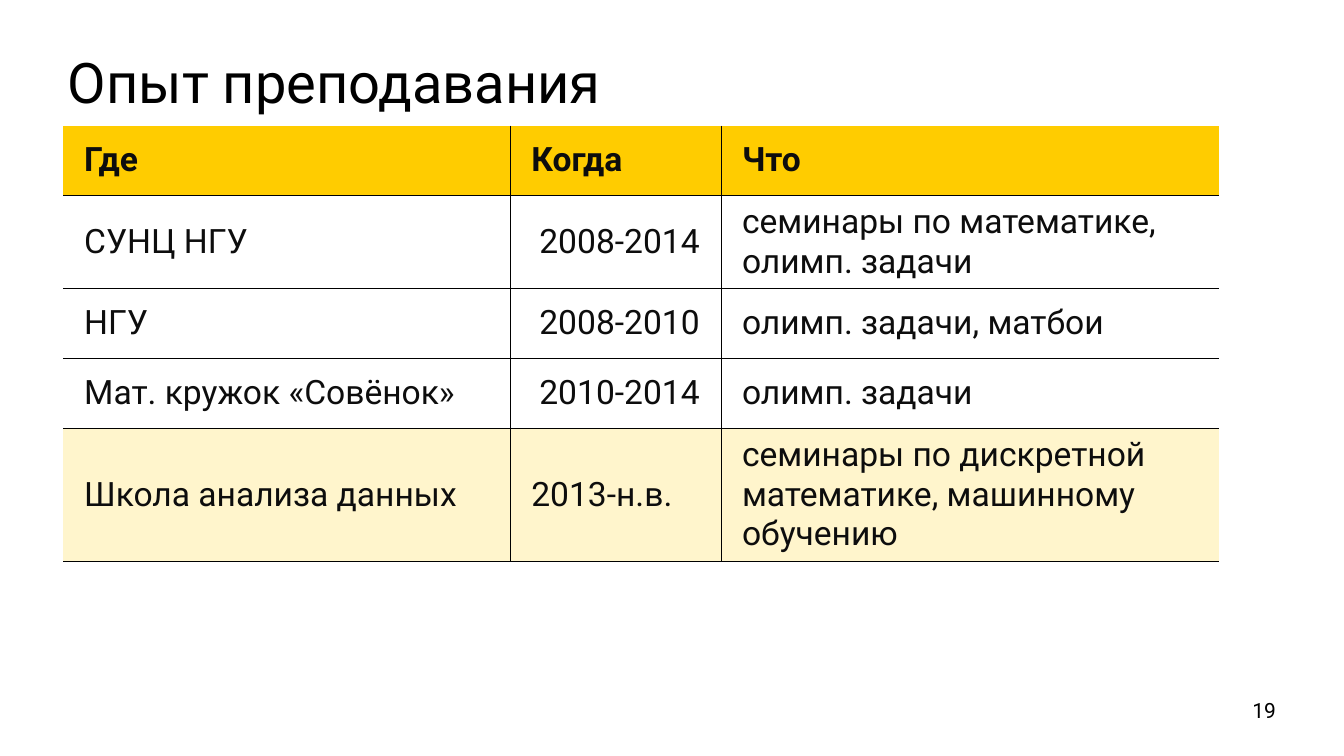
from lxml import etree
from pptx import Presentation
from pptx.dml.color import RGBColor
from pptx.enum.text import MSO_ANCHOR, PP_ALIGN
from pptx.oxml.ns import qn
from pptx.util import Inches, Pt

MIDDLE, TOP = MSO_ANCHOR.MIDDLE, MSO_ANCHOR.TOP
LEFT, RIGHT = PP_ALIGN.LEFT, PP_ALIGN.RIGHT

BLACK = RGBColor(0x00, 0x00, 0x00)
INK = RGBColor(0x0D, 0x0D, 0x0D)
WHITE = RGBColor(0xFF, 0xFF, 0xFF)
YELLOW = RGBColor(0xFF, 0xCC, 0x00)
CREAM = RGBColor(0xFF, 0xF5, 0xCC)
FONT = "Roboto"

TITLE = "Опыт преподавания"
PAGE_NUMBER = "19"
# Each row: fill, alignment of the date, then the cells as lists of paragraphs
ROWS = [
    (YELLOW, LEFT, (["Где"], ["Когда"], ["Что"])),
    (WHITE, RIGHT, (["СУНЦ НГУ"], ["2008-2014"],
                    ["семинары по математике,", "олимп. задачи"])),
    (WHITE, RIGHT, (["НГУ"], ["2008-2010"], ["олимп. задачи, матбои"])),
    (WHITE, RIGHT, (["Мат. кружок «Совёнок»"], ["2010-2014"], ["олимп. задачи"])),
    (CREAM, LEFT, (["Школа анализа данных"], ["2013-н.в."],
                   ["семинары по дискретной математике, машинному обучению"])),
]

PAGE_WIDTH, PAGE_HEIGHT = 26.66, 15
MARGIN = 1.25
TABLE_TOP = 2.49
COLUMN_WIDTHS = (8.87, 4.18, 9.88)
ROW_HEIGHT = 1.39
DATE_COLUMN = 1


def write(frame, lines, size, color, align=LEFT, bold=False):
    for index, line in enumerate(lines):
        para = frame.paragraphs[0] if index == 0 else frame.add_paragraph()
        para.alignment = align
        span = para.add_run()
        span.text = line
        font = span.font
        font.name, font.size, font.bold = FONT, Pt(size), bold
        font.color.rgb = color


def add_text_box(page, area, text, size, anchor, align):
    box = page.shapes.add_textbox(*(Inches(length) for length in area))
    frame = box.text_frame
    frame.word_wrap = True
    frame.vertical_anchor = anchor
    write(frame, [text], size, BLACK, align)
    return frame


def set_borders(cell, visible):
    """Draw a thin black line on the visible sides (L, R, T, B), none elsewhere."""
    properties = cell._tc.get_or_add_tcPr()
    for index, side in enumerate("LRTB"):
        line = etree.Element(qn(f"a:ln{side}"), w=str(Pt(1)))
        if side in visible:
            fill = etree.SubElement(line, qn("a:solidFill"))
            etree.SubElement(fill, qn("a:srgbClr"), val=str(BLACK))
        else:
            etree.SubElement(line, qn("a:noFill"))
        properties.insert(index, line)


def add_experience_table(page):
    columns = len(COLUMN_WIDTHS)
    table = page.shapes.add_table(
        len(ROWS), columns, Inches(MARGIN), Inches(TABLE_TOP),
        Inches(sum(COLUMN_WIDTHS)), Inches(ROW_HEIGHT * len(ROWS))).table
    table.horz_banding = False
    for column, width in zip(table.columns, COLUMN_WIDTHS):
        column.width = Inches(width)

    for r, (color, date_align, cells) in enumerate(ROWS):
        table.rows[r].height = Inches(ROW_HEIGHT)
        for c, lines in enumerate(cells):
            cell = table.cell(r, c)
            cell.fill.solid()
            cell.fill.fore_color.rgb = color
            cell.vertical_anchor = MIDDLE
            cell.margin_left = cell.margin_right = Inches(0.42)
            cell.margin_top = cell.margin_bottom = Inches(0.12)
            align = date_align if c == DATE_COLUMN else LEFT
            write(cell.text_frame, lines, 48, INK, align, bold=r == 0)
            inner = {"L": c > 0, "R": c < columns - 1, "T": r > 0, "B": True}
            set_borders(cell, [side for side, shown in inner.items() if shown])


def main():
    deck = Presentation()
    deck.slide_width, deck.slide_height = Inches(PAGE_WIDTH), Inches(PAGE_HEIGHT)
    page = deck.slides.add_slide(deck.slide_layouts[6])

    title = add_text_box(page, (MARGIN, 0.83, 24.2, 1.65), TITLE, 80, TOP, LEFT)
    title.paragraphs[0].line_spacing = Pt(100)
    number_left = PAGE_WIDTH - 2 * MARGIN
    add_text_box(page, (number_left, 13.88, MARGIN, 0.42), PAGE_NUMBER, 30, MIDDLE, RIGHT)
    add_experience_table(page)
    deck.save("out.pptx")


if __name__ == "__main__":
    main()
